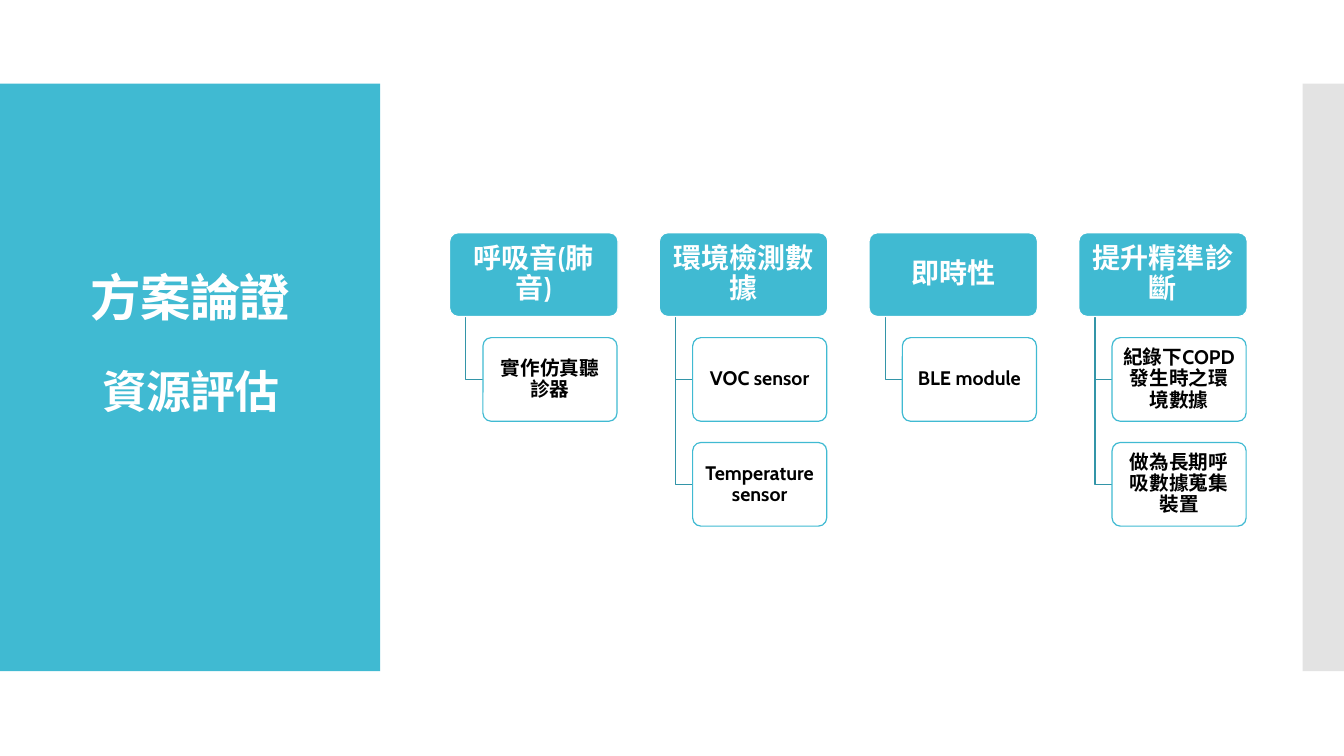
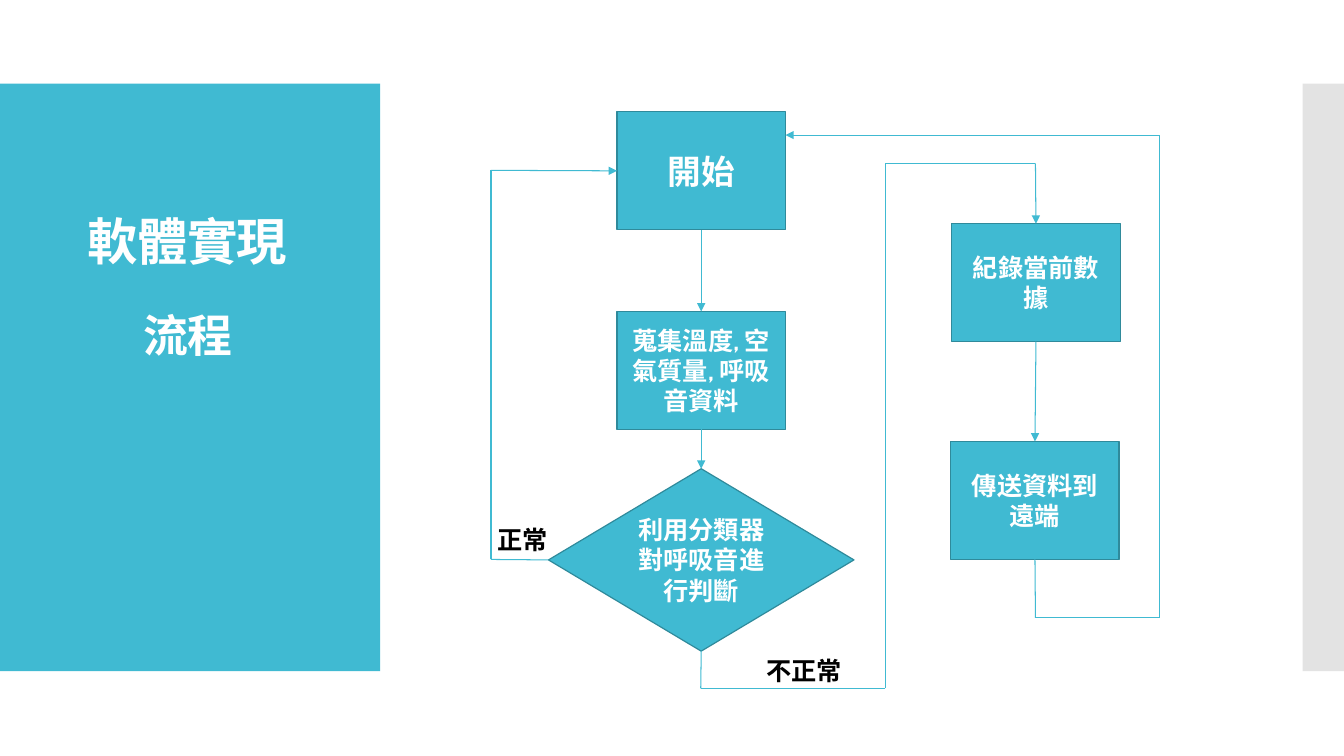
from itertools import pairwise

from lxml.etree import SubElement
from pptx import Presentation
from pptx.dml.color import RGBColor
from pptx.enum.shapes import MSO_CONNECTOR, MSO_SHAPE
from pptx.enum.text import MSO_ANCHOR, PP_ALIGN
from pptx.oxml.ns import qn
from pptx.util import Inches, Pt

FONT = "Cabin"
TEAL, WHITE, BLACK, GREY = "40BAD2", "FFFFFF", "000000", "C8C8C8"
TREE_LINE, NODE_LINE = "3395A8", "2F8A9B"


def color(hex_code):
    return RGBColor.from_string(hex_code)


def add_box(slide, at, lines=(), kind=None, fill=None, outline=None, ink=WHITE, **frame_format):
    """Add a preset shape, or a text box if kind is None; lines holds (text, size) pairs."""
    place = [Inches(length) for length in at]
    if kind is None:
        box = slide.shapes.add_textbox(*place)
    else:
        box = slide.shapes.add_shape(kind, *place)
        box.shadow.inherit = False
        box.fill.solid()
        box.fill.fore_color.rgb = color(fill)
        if outline:
            box.line.color.rgb = color(outline)
            box.line.width = Pt(0.85)
        else:
            box.line.fill.background()
    frame = box.text_frame
    frame_values = {"word_wrap": True, "vertical_anchor": MSO_ANCHOR.MIDDLE} | frame_format
    for name, value in frame_values.items():
        setattr(frame, name, value)
    for index, (text, size) in enumerate(lines):
        paragraph = frame.add_paragraph() if index else frame.paragraphs[0]
        paragraph.alignment = PP_ALIGN.CENTER
        run = paragraph.add_run()
        run.text = text
        for name, value in {"name": FONT, "size": Pt(size), "bold": True}.items():
            setattr(run.font, name, value)
        run.font.color.rgb = color(ink)
    return box


prs = Presentation()
prs.slide_width, prs.slide_height = Inches(13.33), Inches(7.5)

# Side bands and title of every slide
titles = [
    ("方案論證", "資源評估", 0.28, 2.43),
    ("軟體實現", "流程", 0.25, 1.87),
]
slides = []
for heading, subheading, left, top in titles:
    slide = prs.slides.add_slide(prs.slide_layouts[6])
    slides.append(slide)
    add_box(slide, (0, 0.83, 3.77, 5.83), kind=MSO_SHAPE.RECTANGLE, fill=TEAL)
    side_band = add_box(slide, (12.92, 0.83, 0.41, 5.83), kind=MSO_SHAPE.RECTANGLE, fill=GREY)
    band_color = side_band.fill._xPr.find(qn("a:solidFill"))[0]
    SubElement(band_color, qn("a:alpha"), val="50000")
    title = add_box(slide, (left, top, 3.22, 2), [(heading, 36), (subheading, 32)])
    for paragraph in title.text_frame.paragraphs:
        paragraph.line_spacing = 0.9
        paragraph.runs[0].font._element.set("spc", "-60")
    title.text_frame.paragraphs[0].space_after = Pt(30)

resource_slide, flow_slide = slides

# Resource tree: one column per need, its solutions hanging below
needs = {
    "呼吸音(肺音)": ["實作仿真聽診器"],
    "環境檢測數據": ["VOC sensor", "Temperature sensor"],
    "即時性": ["BLE module"],
    "提升精準診斷": ["紀錄下COPD發生時之環境數據", "做為長期呼吸數據蒐集裝置"],
}
NEED_TOP, CARD_HEIGHT, ROW_STEP = 2.31, 0.83, 1.04
card_insets = {
    "margin_left": Inches(0.06),
    "margin_right": Inches(0.06),
    "margin_top": Inches(0.03),
    "margin_bottom": Inches(0.03),
}
for column, (need, solutions) in enumerate(needs.items()):
    left = 4.46 + 2.08 * column
    cards = [(need, 20, (left, NEED_TOP, 1.67, CARD_HEIGHT), TEAL, WHITE, WHITE)]
    for row, solution in enumerate(solutions, start=1):
        top = NEED_TOP + ROW_STEP * row
        cards.append((solution, 14, (left + 0.33, top, 1.33, CARD_HEIGHT), WHITE, TEAL, BLACK))
        trunk_x, branch_y = Inches(left + 0.16), Inches(top + CARD_HEIGHT / 2)
        builder = resource_slide.shapes.build_freeform(trunk_x, Inches(NEED_TOP + CARD_HEIGHT))
        builder.add_line_segments(
            [(trunk_x, branch_y), (Inches(left + 0.33), branch_y)], close=False
        )
        branch = builder.convert_to_shape()
        branch.shadow.inherit = False
        branch.fill.background()
        branch.line.color.rgb = color(TREE_LINE)
        branch.line.width = Pt(0.85)
    for text, size, at, fill, outline, ink in cards:
        card = add_box(resource_slide, at, [(text, size)], MSO_SHAPE.ROUNDED_RECTANGLE,
                       fill, outline, ink, **card_insets)
        card.adjustments[0] = 0.1
        card.text_frame.paragraphs[0].line_spacing = 0.9

# Flowchart steps
steps = {
    "start": ("開始", 24, (6.12, 1.11, 1.67, 1.17)),
    "collect": ("蒐集溫度, 空氣質量, 呼吸音資料", 18, (6.12, 3.09, 1.67, 1.17)),
    "record": ("紀錄當前數據", 18, (9.44, 2.22, 1.67, 1.17)),
    "send": ("傳送資料到遠端", 18, (9.43, 4.38, 1.67, 1.17)),
    "classify": ("利用分類器對呼吸音進行判斷", 18, (5.44, 4.65, 3.03, 1.81)),
}
nodes = {}
for step, (text, size, at) in steps.items():
    kind = MSO_SHAPE.FLOWCHART_DECISION if step == "classify" else MSO_SHAPE.RECTANGLE
    nodes[step] = add_box(flow_slide, at, [(text, size)], kind, TEAL, NODE_LINE)

# Each route: source step and side, target step and side, corner points
TOP, LEFT, BOTTOM = 0, 1, 2
routes = [
    (("start", BOTTOM), ("collect", TOP), [(6.95, 2.28), (6.95, 3.09)]),
    (("collect", BOTTOM), ("classify", TOP), [(6.95, 4.26), (6.95, 4.65)]),
    (("classify", LEFT), ("start", LEFT),
     [(5.44, 5.55), (4.87, 5.55), (4.87, 1.69), (6.12, 1.69)]),
    (("classify", BOTTOM), ("record", TOP),
     [(6.95, 6.46), (6.95, 6.83), (8.78, 6.83), (8.78, 1.62), (10.27, 1.62), (10.27, 2.22)]),
    (("record", BOTTOM), ("send", TOP), [(10.28, 3.39), (10.27, 4.38)]),
    (("send", BOTTOM), None,
     [(10.27, 5.55), (10.27, 6.13), (11.5, 6.13), (11.5, 1.34), (7.79, 1.34)]),
]
for (source, source_side), target, corners in routes:
    segments = []
    for begin, end in pairwise(corners):
        segment = flow_slide.shapes.add_connector(
            MSO_CONNECTOR.STRAIGHT, *[Inches(length) for length in begin + end]
        )
        segment.line.color.rgb = color(TEAL)
        segment.line.width = Pt(0.75)
        SubElement(segment._element.spPr, qn("a:effectLst"))
        segments.append(segment)
    segments[0].begin_connect(nodes[source], source_side)
    if target:
        target_step, target_side = target
        segments[-1].end_connect(nodes[target_step], target_side)
    SubElement(segments[-1].line._get_or_add_ln(), qn("a:tailEnd"), type="triangle")

for answer, at in [("正常", (4.83, 5.15, 0.71, 0.4)), ("不正常", (7.48, 6.45, 0.99, 0.4))]:
    add_box(flow_slide, at, [(answer, 18)], ink=BLACK, word_wrap=False)

prs.save("out.pptx")
